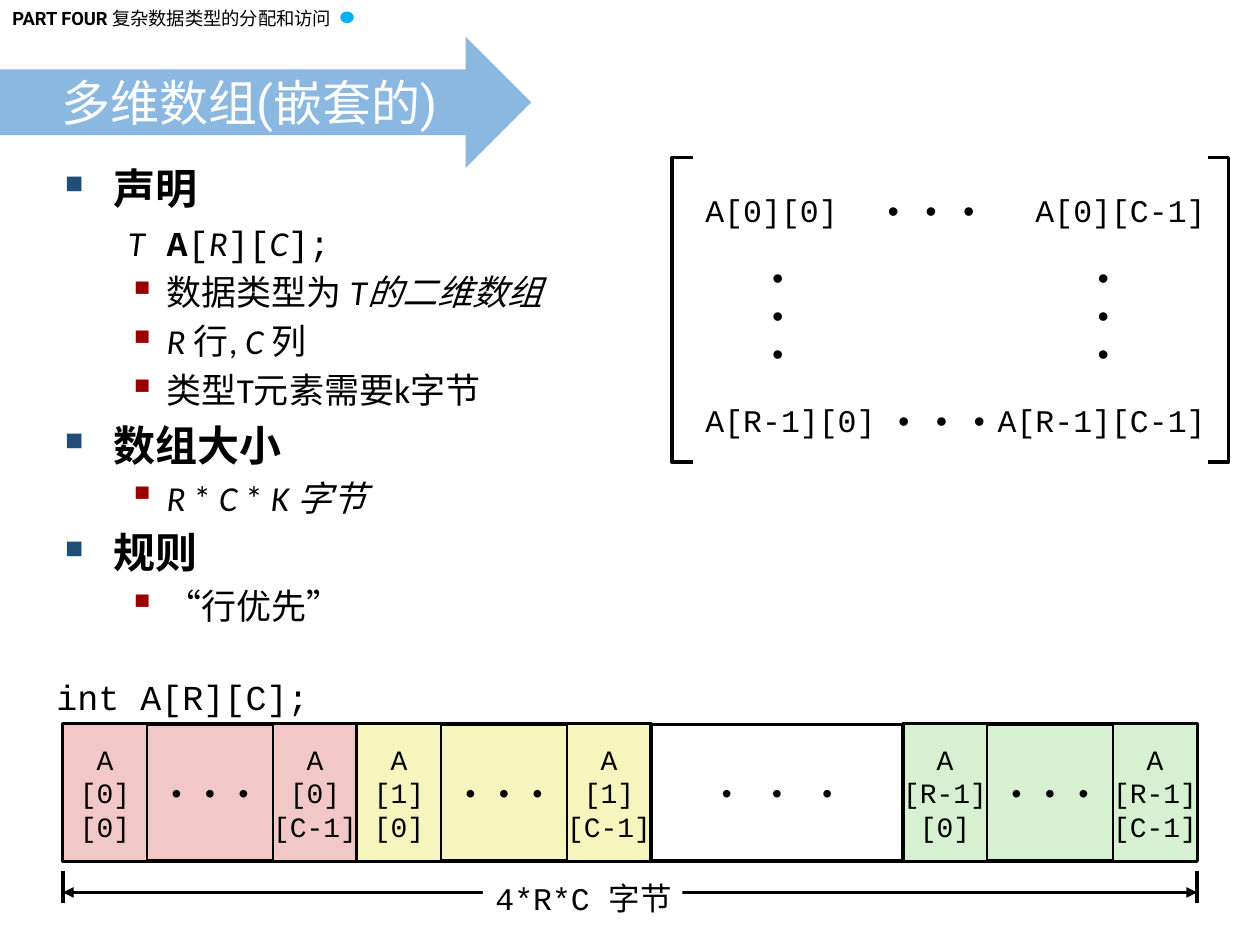
from dataclasses import dataclass

from pptx import Presentation
from pptx.dml.color import RGBColor
from pptx.enum.shapes import MSO_CONNECTOR, MSO_SHAPE
from pptx.enum.text import MSO_ANCHOR, MSO_AUTO_SIZE, PP_ALIGN
from pptx.oxml.xmlchemy import OxmlElement
from pptx.util import Emu, Pt

RECT, OVAL, ARROW = MSO_SHAPE.RECTANGLE, MSO_SHAPE.OVAL, MSO_SHAPE.RIGHT_ARROW
LINE = MSO_CONNECTOR.STRAIGHT
LEFT, MID, RIGHT = PP_ALIGN.LEFT, PP_ALIGN.CENTER, PP_ALIGN.RIGHT
FIXED, GROW = MSO_AUTO_SIZE.NONE, MSO_AUTO_SIZE.SHAPE_TO_FIT_TEXT
PX = 7620  # 120 px to the inch
DOTS = "• • •"
WIDE = "•  •  •"


@dataclass(frozen=True)
class Theme:
    ink: str = "000000"
    paper: str = "FFFFFF"
    dot: str = "00B0F0"
    arrow: str = "5B9BD5"
    mark: str = "1F4E79"
    submark: str = "990000"
    pink: str = "F1C7C7"
    cream: str = "F6F5BD"
    mint: str = "D5F1CF"
    head: str = "Roboto"
    cjk: str = "Noto Sans CJK SC"
    body: str = "Calibri"
    mono: str = "Courier New"
    tiny: float = 10.5
    cell: int = 16
    small: int = 18
    text: int = 20
    large: int = 24
    title: int = 28


T = Theme()


def px(*nums):
    return [Emu(n * PX) for n in nums]


def rgb(code):
    return RGBColor.from_string(code)


def node(parent, tag, **attrs):
    item = OxmlElement(tag)
    for key, val in attrs.items():
        item.set(key, str(val))
    parent.append(item)
    return item


def style(font, name, size, color=T.ink, bold=False, italic=False):
    font.name, font.size = name, Pt(size)
    font.bold, font.italic = bold, italic
    font.color.rgb = rgb(color)


def write(shape, text, size, align=LEFT, name=T.mono, color=T.ink):
    frame = shape.text_frame
    frame.text = text
    frame.word_wrap = False
    frame.vertical_anchor = MSO_ANCHOR.MIDDLE
    for para in frame.paragraphs:
        para.alignment = align
        for run in para.runs:
            style(run.font, name, size, color)


def block(slide, box, fill, line=0, kind=RECT):
    shape = slide.shapes.add_shape(kind, *px(*box))
    shape.shadow.inherit = False
    shape.fill.solid()
    shape.fill.fore_color.rgb = rgb(fill)
    if line:
        shape.line.color.rgb = rgb(T.ink)
        shape.line.width = Pt(line)
    else:
        shape.line.fill.background()
    return shape


def label(slide, box, text, align=LEFT):
    write(block(slide, box, T.paper), text, T.small, align)


def rule(slide, x1, y1, x2, y2, heads=False):
    line = slide.shapes.add_connector(LINE, *px(x1, y1, x2, y2))
    line.line.color.rgb = rgb(T.ink)
    line.line.width = Pt(2)
    props = line._element.spPr
    if heads:
        for tag in ("a:headEnd", "a:tailEnd"):
            node(props.find("{*}ln"), tag, type="triangle")
    node(props, "a:effectLst")


def header(slide, x, y):
    box = slide.shapes.add_textbox(*px(x, y, 335, 34))
    frame = box.text_frame
    frame.word_wrap = False
    para = frame.paragraphs[0]
    for text, name, bold in (("PART FOUR ", T.head, True),
                             ("复杂数据类型的分配和访问", T.cjk, False)):
        run = para.add_run()
        run.text = text
        style(run.font, name, T.tiny, bold=bold)
    block(slide, (x + 324, y + 10, 13, 11), T.dot, kind=OVAL)


def banner(slide, x, y, w, h):
    arrow = block(slide, (x, y, w, h), T.arrow, kind=ARROW)
    color = arrow._element.spPr.find("{*}solidFill")[0]
    node(color, "a:alpha", val=71000)
    title = slide.shapes.title
    title.left, title.top, title.width, title.height = px(
        x, y + h // 4, w - h // 4, h // 2)
    write(title, "多维数组(嵌套的)", T.title, MID, T.head, T.paper)
    title.text_frame.auto_size = FIXED
    # Draw the title above the arrow.
    arrow._element.addnext(title._element)


def bullet(para, sub, marked):
    """Set the hanging indent and, if marked, the square."""
    props = para._p.get_or_add_pPr()
    left, hang = (97, 37) if sub else (46, 46)
    props.set("marL", str(left * PX))
    props.set("indent", str(-hang * PX))
    if not marked:
        node(props, "a:buNone")
        return
    color, size, char = (T.submark, 110, "▪") if sub else (T.mark, 60, "■")
    node(node(props, "a:buClr"), "a:srgbClr", val=color)
    node(props, "a:buSzPct", val=size * 1000)
    node(props, "a:buChar", char=char)


def outline(slide, box):
    """Each line is a level (h, s or c for code) and runs of text and style."""
    lines = (
        ("h", [("声明", "b")]),
        ("c", [("T\t", "i"), ("A", "mb"), ("[", "m"), ("R", "i"),
               ("][", "m"), ("C", "i"), ("];", "m")]),
        ("s", [("数据类型为 ", ""), ("T的二维数组", "i")]),
        ("s", [("R ", "i"), ("行, ", ""), ("C ", "i"), ("列", "")]),
        ("s", [("类型T元素需要k字节", "")]),
        ("h", [("数组大小", "b")]),
        ("s", [("R", "i"), (" * ", ""), ("C ", "i"), ("* ", ""),
               ("K 字节", "i")]),
        ("h", [("规则", "b")]),
        ("s", [("“行优先”", "")]),
    )
    space = {"h": 4.8, "s": 4, "c": 5}
    frame = slide.shapes.add_textbox(*px(*box)).text_frame
    frame.word_wrap = True
    for i, (level, runs) in enumerate(lines):
        para = frame.add_paragraph() if i else frame.paragraphs[0]
        para.level = int(level != "h")
        if i:
            para.space_before = Pt(space[level])
        bullet(para, level != "h", level != "c")
        for text, look in runs:
            run = para.add_run()
            run.text = text
            style(run.font, T.mono if "m" in look else T.body,
                  T.large if level == "h" else T.text,
                  bold="b" in look, italic="i" in look)


def matrix(slide, x, y, w, h):
    for row, dy, shift in (("0", 20, 0), ("R-1", 220, 10)):
        label(slide, (x + 20, y + dy, 160, 60), f"A[{row}][0]")
        label(slide, (x + 190 + shift, y + dy, 120, 60), DOTS)
        label(slide, (x + w - 170, y + dy, 160, 60), f"A[{row}][C-1]", RIGHT)
    for dx in (80, 390):
        label(slide, (x + dx, y + 100, 60, 100), "•\n•\n•")
    for edge, tip in ((x, x + 20), (x + w, x + w - 20)):
        path = slide.shapes.build_freeform(tip, y, scale=PX)
        path.add_line_segments([(edge, y), (edge, y + h), (tip, y + h)],
                               close=False)
        shape = path.convert_to_shape()
        shape.shadow.inherit = False
        shape.fill.background()
        shape.line.color.rgb = rgb(T.ink)
        shape.line.width = Pt(2)


def memory(slide, x, y, w, h):
    part, cell = 280, 80
    rows = (("0", T.pink, 0), ("1", T.cream, part),
            ("R-1", T.mint, w - part))
    for row, fill, dx in rows:
        left = x + dx
        write(block(slide, (left, y, part, h), fill, 2.25), DOTS, T.cell, MID)
        for col, pos in (("0", left), ("C-1", left + part - cell)):
            write(block(slide, (pos, y, cell, h), fill, 1),
                  f"A\n[{row}]\n[{col}]", T.cell, MID)
    gap = block(slide, (x + 2 * part, y, w - 3 * part, h), T.paper, 2)
    write(gap, WIDE, T.cell, MID)
    code = slide.shapes.add_textbox(*px(x - 24, y - 53, 270, 52))
    write(code, "int A[R][C];", T.text, RIGHT)
    code.text_frame.auto_size = GROW


def measure(slide, x, y, w):
    for end in (x, x + w):
        rule(slide, end, y, end, y + 30)
    rule(slide, x, y + 20, x + w, y + 20, heads=True)
    size = block(slide, (x + 400, y, 190, 50), T.paper)
    write(size, "4*R*C ", T.small)
    run = size.text_frame.paragraphs[0].add_run()
    run.text = "字节"
    style(run.font, T.body, T.small)


def main():
    deck = Presentation()
    deck.slide_width, deck.slide_height = px(1200, 900)
    slide = deck.slides.add_slide(deck.slide_layouts[5])
    header(slide, 0, 1)
    banner(slide, 0, 35, 506, 125)
    outline(slide, (50, 149, 582, 442))
    matrix(slide, 640, 150, 530, 290)
    memory(slide, 60, 690, 1080, 130)
    measure(slide, 60, 830, 1080)
    deck.save("out.pptx")


if __name__ == "__main__":
    main()
